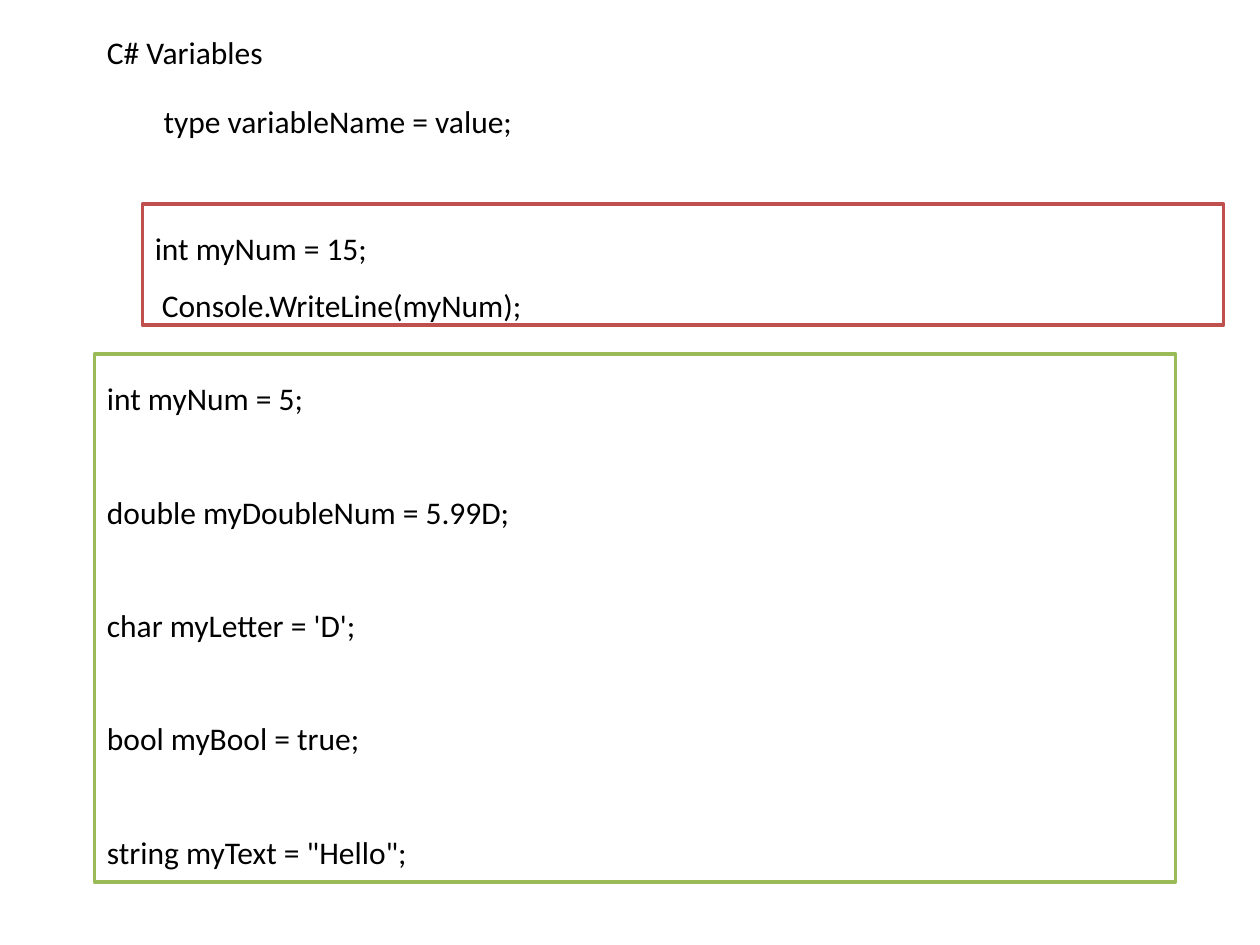
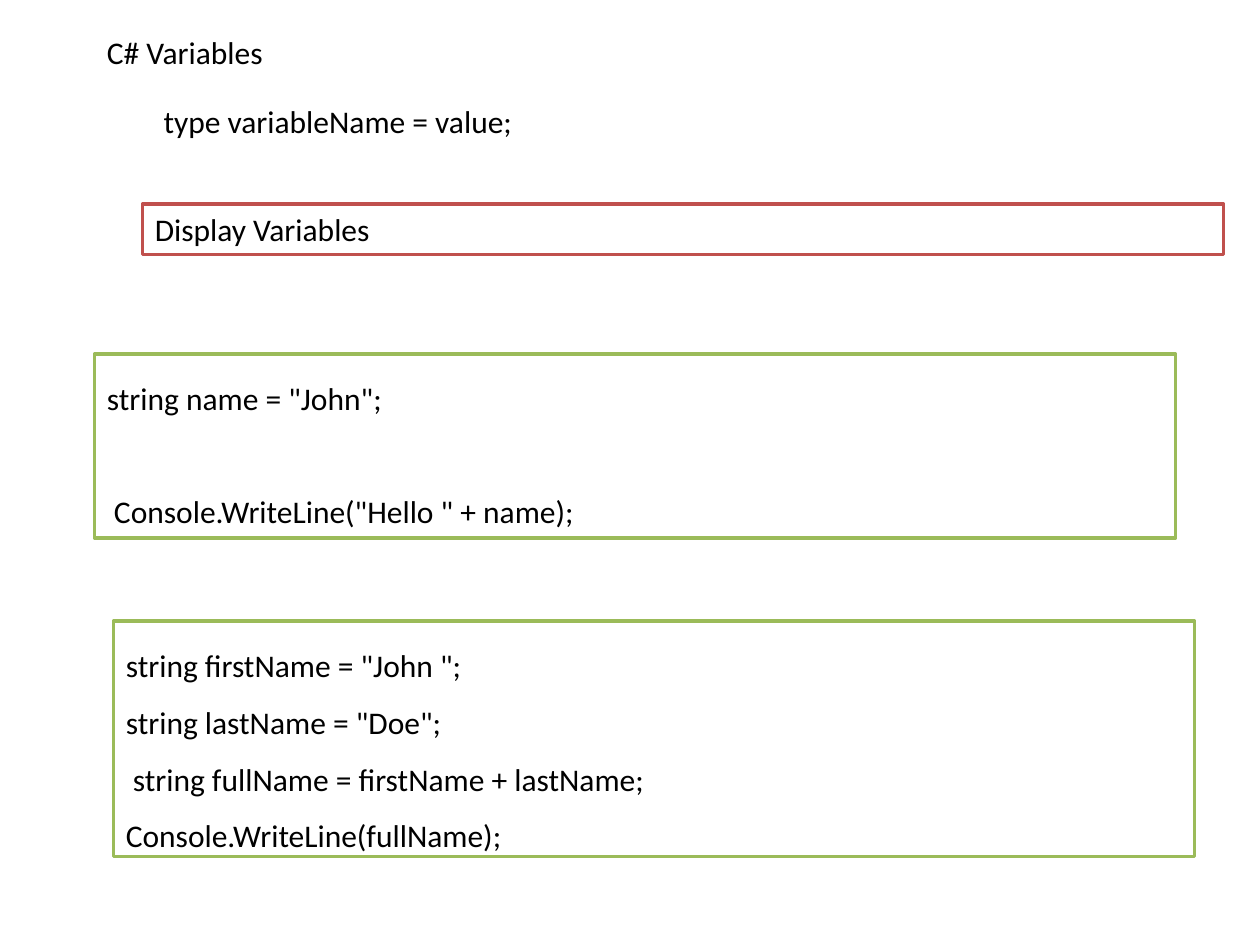
from dataclasses import dataclass

from pptx import Presentation
from pptx.dml.color import RGBColor
from pptx.enum.shapes import MSO_SHAPE
from pptx.enum.text import MSO_ANCHOR, MSO_AUTO_SIZE, PP_ALIGN
from pptx.slide import Slide
from pptx.text.text import TextFrame
from pptx.util import Inches, Pt

RECTANGLE = MSO_SHAPE.RECTANGLE
TOP = MSO_ANCHOR.TOP
LEFT = PP_ALIGN.LEFT
FIT_TEXT = MSO_AUTO_SIZE.SHAPE_TO_FIT_TEXT

BLACK = RGBColor(0x00, 0x00, 0x00)
WHITE = RGBColor(0xFF, 0xFF, 0xFF)
RED = RGBColor(0xC0, 0x50, 0x4D)
GREEN = RGBColor(0x9B, 0xBB, 0x59)

FONT = "Calibri"
FONT_SIZE = Pt(18)
CODE_SPACING = 1.5
STATEMENT_GAP = Pt(32.4)  # one code line left open between statements

# Slide grid
SLIDE_WIDTH, SLIDE_HEIGHT = Inches(10), Inches(7.5)
COLUMN = SLIDE_WIDTH // 100
ROW = SLIDE_HEIGHT // 75
PANEL_COLUMNS = 85.8
LINE_ROWS = 4
MARGIN_COLUMN = 7.5
INTRO_COLUMN = 11.3
INTRO_ROW = 16.2
EXAMPLE_ROW = 28.1


@dataclass(frozen=True)
class Heading:
    text: str
    column: float
    row: float
    columns: float
    wrap: bool


@dataclass(frozen=True)
class Panel:
    lines: tuple[str, ...]
    column: float
    row: float
    rows: float
    outline: RGBColor
    spacing: float = CODE_SPACING
    gap: int = 0


# Headings on every slide
HEADINGS = (
    Heading("C# Variables", MARGIN_COLUMN, 2.1, 14.5, False),
    Heading("type variableName = value;", 12, 7.6, 50, True),
)

# Code panels, slide by slide
SLIDES = (
    (
        Panel(("int myNum = 15;", " Console.WriteLine(myNum);"),
              INTRO_COLUMN, INTRO_ROW, 9.6, RED),
        Panel(("int myNum = 5;", "double myDoubleNum = 5.99D;", "char myLetter = 'D';",
               "bool myBool = true;", 'string myText = "Hello";'),
              MARGIN_COLUMN, EXAMPLE_ROW, 41.9, GREEN, gap=STATEMENT_GAP),
    ),
    (
        Panel(("Display Variables",), INTRO_COLUMN, INTRO_ROW, LINE_ROWS, RED, spacing=1.0),
        Panel(('string name = "John";', ' Console.WriteLine("Hello " + name);'),
              MARGIN_COLUMN, EXAMPLE_ROW, 14.6, GREEN, gap=STATEMENT_GAP),
        Panel(('string firstName = "John ";', 'string lastName = "Doe";',
               " string fullName = firstName + lastName;", "Console.WriteLine(fullName);"),
              9, 49.3, 18.7, GREEN),
    ),
)


def grid_box(column: float, row: float, columns: float, rows: float) -> tuple[int, ...]:
    return (round(column * COLUMN), round(row * ROW),
            round(columns * COLUMN), round(rows * ROW))


def write_lines(frame: TextFrame, lines: tuple[str, ...], spacing: float = 1.0,
                gap: int = 0, wrap: bool = True) -> None:
    frame.text = "\n".join(lines)
    frame.word_wrap = wrap
    frame.auto_size = FIT_TEXT
    frame.vertical_anchor = TOP
    for index, paragraph in enumerate(frame.paragraphs):
        paragraph.alignment = LEFT
        paragraph.line_spacing = spacing
        if index and gap:
            paragraph.space_before = gap
        for run in paragraph.runs:
            run.font.name = FONT
            run.font.size = FONT_SIZE
            run.font.color.rgb = BLACK


def draw_heading(slide: Slide, heading: Heading) -> None:
    label = slide.shapes.add_textbox(
        *grid_box(heading.column, heading.row, heading.columns, LINE_ROWS))
    write_lines(label.text_frame, (heading.text,), wrap=heading.wrap)


def draw_panel(slide: Slide, panel: Panel) -> None:
    frame = slide.shapes.add_shape(
        RECTANGLE, *grid_box(panel.column, panel.row, PANEL_COLUMNS, panel.rows))
    frame.shadow.inherit = False
    frame.fill.solid()
    frame.fill.fore_color.rgb = WHITE
    frame.line.color.rgb = panel.outline
    frame.line.width = Pt(2)
    write_lines(frame.text_frame, panel.lines, panel.spacing, panel.gap)


def main() -> None:
    deck = Presentation()
    deck.slide_width, deck.slide_height = SLIDE_WIDTH, SLIDE_HEIGHT
    blank_layout = deck.slide_layouts[6]
    for panels in SLIDES:
        slide = deck.slides.add_slide(blank_layout)
        for heading in HEADINGS:
            draw_heading(slide, heading)
        for panel in panels:
            draw_panel(slide, panel)
    deck.save("out.pptx")


if __name__ == "__main__":
    main()
